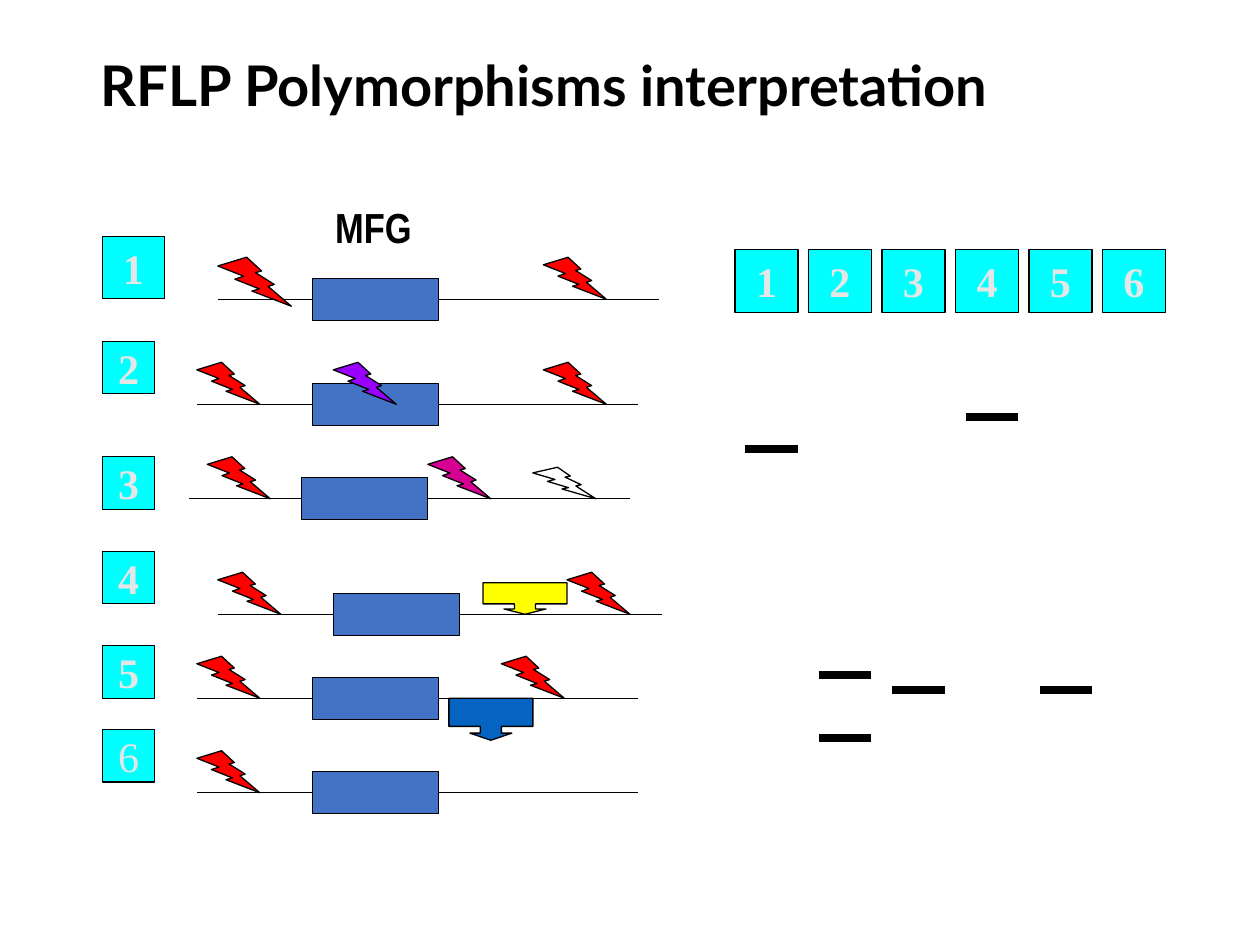
from dataclasses import dataclass

from lxml import etree
from pptx import Presentation
from pptx import util as u
from pptx.dml.color import RGBColor
from pptx.enum import shapes, text
from pptx.oxml.ns import qn

BLACK = RGBColor(0x00, 0x00, 0x00)
PALE = RGBColor(0xE7, 0xE6, 0xE6)
CYAN = RGBColor(0x00, 0xFF, 0xFF)
RED = RGBColor(0xFF, 0x00, 0x00)
PURPLE = RGBColor(0x99, 0x00, 0xFF)
MAGENTA = RGBColor(0xD6, 0x00, 0x93)
GENE_BLUE = RGBColor(0x44, 0x72, 0xC4)
YELLOW = RGBColor(0xFF, 0xFF, 0x00)
INSERT_BLUE = RGBColor(0x05, 0x63, 0xC1)

COLUMNS, ROWS = 120, 90  # grid cells of a twelfth of an inch
GENE_WIDTH, GENE_HEIGHT = 12, 4
LABEL_COLUMN, LABEL_SIZE = 9.75, 5
LANE_START, LANE_PITCH, LANE_ROW, LANE_SIZE = 70, 7, 23.75, 6
BAND_WIDTH = 5


@dataclass(frozen=True)
class Site:
    """A restriction site, its bolt placed by column and height above the strand."""
    column: float
    color: RGBColor | None = RED
    rise: float = 4
    width: float = 6
    height: float = 4


@dataclass(frozen=True)
class Insert:
    column: float
    row: float
    height: float
    color: RGBColor
    arrow: float


@dataclass(frozen=True)
class Allele:
    name: str
    label_row: float
    strand_row: float
    sites: tuple[Site, ...]
    strand_column: float = 18.75
    strand_length: float = 42
    gene_column: float = 29.75
    label_size: float = LABEL_SIZE
    bold: bool = True
    insert: Insert | None = None


@dataclass(frozen=True)
class Lane:
    name: str
    band_rows: tuple[float, ...] = ()


ALLELES = (
    Allele("1", 22.5, 28.5, (Site(51.75), Site(20.75, width=7, height=4.67)),
           strand_column=20.75, label_size=5.9),
    Allele("2", 32.5, 38.5, (Site(18.75), Site(51.75), Site(31.75, PURPLE))),
    Allele("3", 43.5, 47.5,
           (Site(19.75), Site(40.75, MAGENTA), Site(50.75, None, rise=3, height=3)),
           strand_column=18, gene_column=28.75),
    Allele("4", 52.5, 58.5, (Site(20.75), Site(54)), strand_column=20.75,
           strand_length=42.25, gene_column=31.75,
           insert=Insert(46, 55.5, 3, YELLOW, 0.67)),
    Allele("5", 61.5, 66.5, (Site(18.75), Site(47.75)),
           insert=Insert(42.75, 66.5, 4, INSERT_BLUE, 0.5)),
    Allele("6", 69.5, 75.5, (Site(18.75),), bold=False),
)
LANES = (Lane("1", (42.75,)), Lane("2", (64.25, 70.25)), Lane("3", (65.75,)),
         Lane("4", (39.75,)), Lane("5", (65.75,)), Lane("6"))

deck = Presentation()
deck.slide_width, deck.slide_height = u.Inches(10), u.Inches(7.5)
page = deck.slides.add_slide(deck.slide_layouts[6])


def across(columns: float) -> int:
    return round(deck.slide_width * columns / COLUMNS)


def down(rows: float) -> int:
    return round(deck.slide_height * rows / ROWS)


def add_figure(kind, column: float, row: float, width: float, height: float,
               color: RGBColor | None):
    figure = page.shapes.add_shape(kind, across(column), down(row),
                                   across(width), down(height))
    figure.shadow.inherit = False
    if color is None:
        figure.fill.background()
    else:
        figure.fill.solid()
        figure.fill.fore_color.rgb = color
    figure.line.color.rgb = BLACK
    figure.line.width = u.Pt(0.75)
    return figure


def add_line(column: float, row: float, length: float, weight: float) -> None:
    line = page.shapes.add_connector(shapes.MSO_CONNECTOR.STRAIGHT, across(column),
                                     down(row), across(column + length), down(row))
    line.line.color.rgb = BLACK
    line.line.width = u.Pt(weight)
    etree.SubElement(line._element.spPr, qn("a:effectLst"))


def write(shape, words: str, font: str, size: float, color: RGBColor,
          bold: bool = True) -> None:
    shape.text_frame.text = words
    span = shape.text_frame.paragraphs[0].runs[0]
    span.font.name, span.font.size, span.font.bold = font, u.Pt(size), bold
    span.font.color.rgb = color


def add_text(column: float, row: float, width: float, height: float,
             words: str, font: str, size: float) -> None:
    box = page.shapes.add_textbox(across(column), down(row), across(width), down(height))
    box.text_frame.word_wrap = True
    write(box, words, font, size, BLACK)


def add_label(column: float, row: float, size: float, name: str, bold: bool = True) -> None:
    label = add_figure(shapes.MSO_SHAPE.RECTANGLE, column, row, size, size, CYAN)
    write(label, name, "Times New Roman", 24, PALE, bold)
    label.text_frame.word_wrap = False
    label.text_frame.vertical_anchor = text.MSO_ANCHOR.MIDDLE
    label.text_frame.paragraphs[0].alignment = text.PP_ALIGN.CENTER


def draw_allele(allele: Allele) -> None:
    add_label(LABEL_COLUMN, allele.label_row, allele.label_size, allele.name, allele.bold)
    add_line(allele.strand_column, allele.strand_row, allele.strand_length, 0.75)
    add_figure(shapes.MSO_SHAPE.RECTANGLE, allele.gene_column,
               allele.strand_row - GENE_HEIGHT / 2, GENE_WIDTH, GENE_HEIGHT, GENE_BLUE)
    for site in allele.sites:
        add_figure(shapes.MSO_SHAPE.LIGHTNING_BOLT, site.column,
                   allele.strand_row - site.rise, site.width, site.height, site.color)
    if allele.insert:
        insert = allele.insert
        callout = add_figure(shapes.MSO_SHAPE.DOWN_ARROW_CALLOUT, insert.column,
                             insert.row, 8, insert.height, insert.color)
        for index, value in enumerate((insert.arrow, insert.arrow, 0.17, 0.67)):
            callout.adjustments[index] = value


def draw_lane(index: int, lane: Lane) -> None:
    column = LANE_START + index * LANE_PITCH
    add_label(column, LANE_ROW, LANE_SIZE, lane.name)
    for row in lane.band_rows:
        add_line(column + LANE_SIZE - BAND_WIDTH, row, BAND_WIDTH, 4.5)


def main() -> None:
    for allele in ALLELES:
        draw_allele(allele)
    for index, lane in enumerate(LANES):
        draw_lane(index, lane)
    add_text(30.75, 18.6, 9.75, 6, "MFG", "Arial Narrow", 24)
    add_text(8.4, 4.2, 100.5, 7.7, "RFLP Polymorphisms interpretation", "Lato", 32)
    deck.save("out.pptx")


if __name__ == "__main__":
    main()
